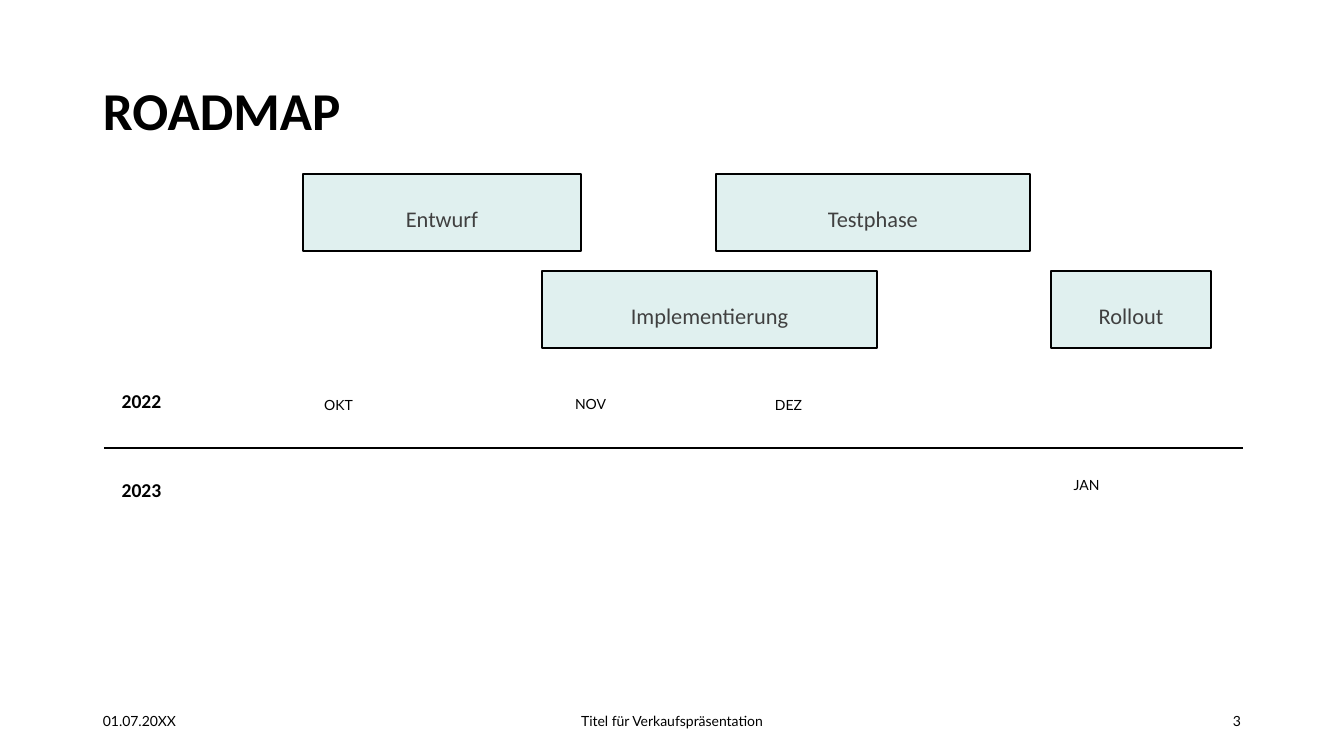
from lxml import etree
from pptx import Presentation
from pptx.dml.color import RGBColor
from pptx.enum.shapes import MSO_CONNECTOR, MSO_SHAPE
from pptx.enum.text import MSO_ANCHOR, PP_ALIGN
from pptx.oxml.ns import qn
from pptx.util import Pt

EMU_PER_PX = 914400 / 100.8
BLACK = RGBColor(0x00, 0x00, 0x00)
GRAY = RGBColor(0x40, 0x40, 0x40)
MINT = RGBColor(0xE0, 0xF0, 0xEF)
HEADING_FONT, BODY_FONT = "Calibri", "Lato"


def px(length):
    """Turn pixels into EMU."""
    return round(length * EMU_PER_PX)


class RoadmapSlide:
    """Holds the slide and the style of its elements."""

    def __init__(self, slide):
        """Keep the slide to draw on."""
        self.shapes = slide.shapes

    def set_text(self, shape, text, size, font, color=BLACK, bold=False,
                 align=PP_ALIGN.LEFT, anchor=MSO_ANCHOR.TOP, spacing=None, before=None):
        """Put one styled paragraph into a shape."""
        frame = shape.text_frame
        frame.word_wrap = True
        frame.vertical_anchor = anchor
        paragraph = frame.paragraphs[0]
        paragraph.alignment = align
        paragraph.line_spacing = spacing
        paragraph.space_before = before
        run = paragraph.add_run()
        run.text = text
        run.font.size, run.font.name, run.font.bold = Pt(size), font, bold
        run.font.color.rgb = color

    def label(self, box, text, size, font, **style):
        """Add a text box."""
        self.set_text(self.shapes.add_textbox(*map(px, box)), text, size, font, **style)

    def phase(self, left, top, width, text):
        """Add the bar of one project phase."""
        bar = self.shapes.add_shape(MSO_SHAPE.RECTANGLE, px(left), px(top), px(width), px(77))
        bar.shadow.inherit = False
        bar.fill.solid()
        bar.fill.fore_color.rgb = MINT
        bar.line.color.rgb = BLACK
        bar.line.width = Pt(1.75)
        bar.text_frame.margin_top, bar.text_frame.margin_bottom = px(4), px(5)
        self.set_text(bar, text, 16, HEADING_FONT, color=GRAY, align=PP_ALIGN.CENTER,
                      spacing=2.0, before=Pt(10))

    def year(self, top, text):
        """Add a year beside the time axis."""
        self.label((101, top, 81, 50), text, 14, HEADING_FONT, bold=True, spacing=0.9,
                   align=PP_ALIGN.CENTER, anchor=MSO_ANCHOR.MIDDLE, before=Pt(10))

    def month(self, left, top, text):
        """Add a month beside the time axis."""
        self.label((left, top, 71, 30), text, 10, BODY_FONT, spacing=0.9,
                   align=PP_ALIGN.CENTER, before=Pt(10))

    def footer(self, left, width, text, align):
        """Add one part of the footer."""
        self.label((left, 701, width, 40), text, 10, BODY_FONT, align=align,
                   anchor=MSO_ANCHOR.MIDDLE)

    def axis(self, left, right, y):
        """Add the horizontal time axis."""
        line = self.shapes.add_connector(MSO_CONNECTOR.STRAIGHT, px(left), px(y), px(right), px(y))
        line.line.color.rgb = BLACK
        line.line.width = Pt(2)
        etree.SubElement(line._element.spPr, qn("a:effectLst"))


def main():
    """Build the roadmap and save it."""
    deck = Presentation()
    deck.slide_width, deck.slide_height = px(1344), px(756)
    roadmap = RoadmapSlide(deck.slides.add_slide(deck.slide_layouts[6]))

    roadmap.axis(104, 1243, 448)
    roadmap.label((93, 40, 1159, 146), "ROADMAP", 38, HEADING_FONT, bold=True,
                  anchor=MSO_ANCHOR.MIDDLE, spacing=0.9)
    for top, text in ((377, "2022"), (466, "2023")):
        roadmap.year(top, text)
    for left, top, text in ((303, 393, "OKT"), (555, 392, "NOV"),
                            (753, 393, "DEZ"), (1051, 473, "JAN")):
        roadmap.month(left, top, text)
    upper, lower = 174, 271
    for left, top, width, text in ((303, upper, 278, "Entwurf"),
                                   (716, upper, 314, "Testphase"),
                                   (542, lower, 335, "Implementierung"),
                                   (1051, lower, 160, "Rollout")):
        roadmap.phase(left, top, width, text)
    for left, width, text, align in (
            (93, 302, "01.07.20XX", PP_ALIGN.LEFT),
            (445, 454, "Titel für Verkaufspräsentation", PP_ALIGN.CENTER),
            (949, 302, "3", PP_ALIGN.RIGHT)):
        roadmap.footer(left, width, text, align)

    deck.save("out.pptx")


main()
